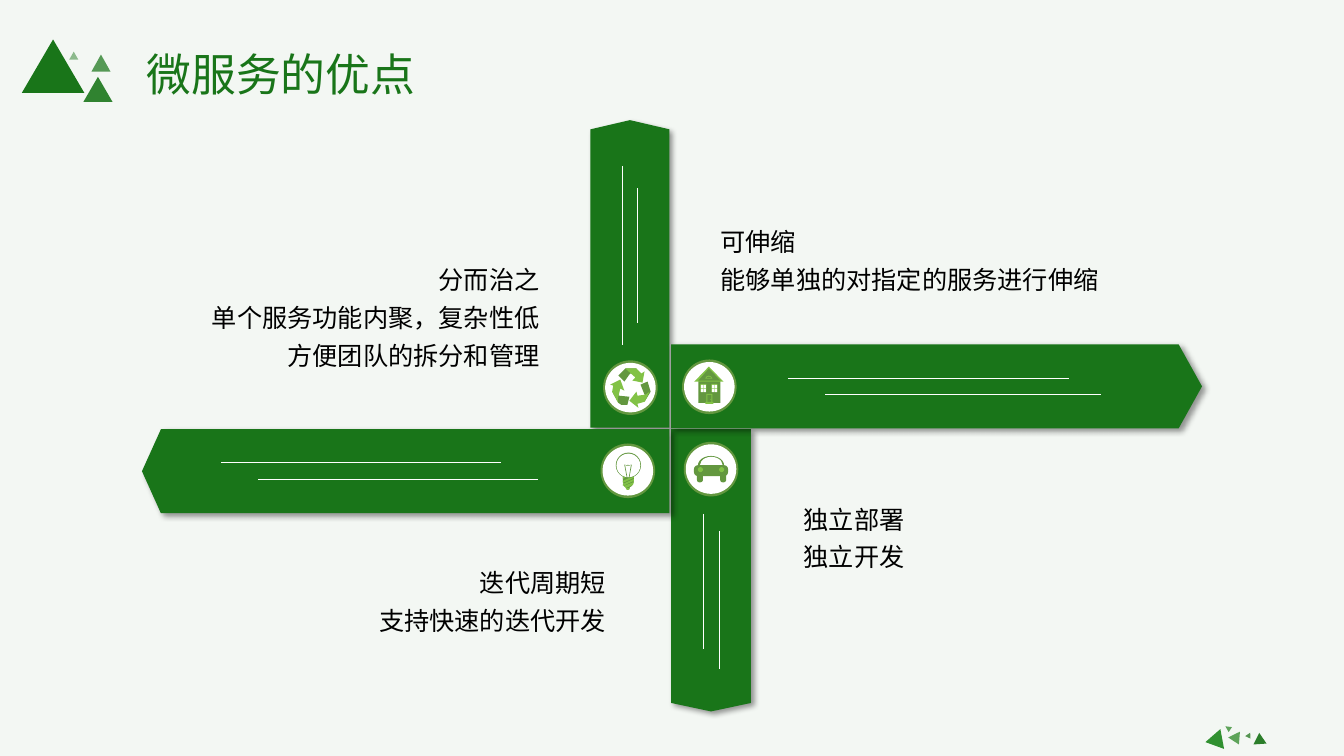
from dataclasses import dataclass
from lxml.etree import SubElement
from pptx import Presentation
from pptx.dml.color import RGBColor
from pptx.enum.shapes import MSO_CONNECTOR as Connector, MSO_SHAPE as Preset
from pptx.enum.text import PP_ALIGN as Align
from pptx.oxml.ns import qn
from pptx.util import Emu, Pt

GRID = 76200
COLUMNS, ROWS = 160, 90
FONT = "Noto Sans CJK SC"
GREEN, LEAF, LIME, WHITE, BLACK = "197519", "63973F", "82C246", "FFFFFF", "000000"
OVAL, RECT, ROUND = Preset.OVAL, Preset.RECTANGLE, Preset.ROUNDED_RECTANGLE


@dataclass
class Box:
    left: float
    top: float
    width: float
    height: float
    columns: float = 1
    rows: float = 1

    def point(self, x, y):
        return (Emu(round(self.left + self.width * x / self.columns)),
                Emu(round(self.top + self.height * y / self.rows)))

    def cell(self, x, y, width, height, columns=1, rows=1):
        left, top = self.point(x, y)
        return Box(left, top, self.width * width / self.columns,
                   self.height * height / self.rows, columns, rows)

    def frame(self):
        return [Emu(round(length)) for length in (self.left, self.top, self.width, self.height)]


def colour(value):
    return RGBColor.from_string(value)


def paint(shape, fill, opacity=100):
    shape.shadow.inherit = False
    shape.fill.solid()
    shape.fill.fore_color.rgb = colour(fill)
    shape.line.fill.background()
    if opacity < 100:
        tint = shape._element.spPr.find(qn("a:solidFill")).find(qn("a:srgbClr"))
        SubElement(tint, qn("a:alpha"), val=str(opacity * 1000))
    return shape


def add_preset(slide, box, preset, fill, opacity=100):
    return paint(slide.shapes.add_shape(preset, *box.frame()), fill, opacity)


def add_outline(slide, box, points, fill):
    first, *others = [box.point(x, y) for x, y in points]
    builder = slide.shapes.build_freeform(*first)
    builder.add_line_segments(others)
    return paint(builder.convert_to_shape(), fill)


def add_shadow(shape):
    effects = shape._element.spPr.find(qn("a:effectLst"))
    shadow = SubElement(effects, qn("a:outerShdw"), blurRad=str(Pt(4)), dist=str(Pt(3)),
                        dir="2700000", algn="tl", rotWithShape="0")
    tint = SubElement(shadow, qn("a:srgbClr"), val=BLACK)
    SubElement(tint, qn("a:alpha"), val="40000")


TURNS = {
    "up": lambda along, across: (across, 1 - along),
    "down": lambda along, across: (across, along),
    "right": lambda along, across: (along, across),
    "left": lambda along, across: (1 - along, across),
}


def draw_arm(slide, box, direction, tip, upper_line, lower_line):
    turn = TURNS[direction]
    corners = [(0, 0), (1 - tip, 0), (1, 0.5), (1 - tip, 1), (0, 1)]
    add_shadow(add_outline(slide, box, [turn(*corner) for corner in corners], GREEN))
    for across, (start, end) in ((0.4, upper_line), (0.6, lower_line)):
        line = slide.shapes.add_connector(
            Connector.STRAIGHT, *box.point(*turn(start, across)), *box.point(*turn(end, across)))
        line.line.color.rgb = colour(WHITE)
        line.line.width = Pt(0.5)
        SubElement(line._element.spPr, qn("a:effectLst"))


def draw_badge(slide, box, parts):
    add_preset(slide, box, OVAL, LEAF)
    add_preset(slide, box.cell(2, 2.5, 50, 49), OVAL, WHITE)
    for preset, fill, geometry in parts:
        if preset is None:
            add_outline(slide, box, geometry, fill)
        else:
            shape = add_preset(slide, box.cell(*geometry), preset, fill)
            if preset == ROUND:
                shape.adjustments[0] = 0.4


def draw_triangles(slide, box, triangles):
    for geometry, rotation, fill, opacity in triangles:
        shape = add_preset(slide, box.cell(*geometry), Preset.ISOSCELES_TRIANGLE, fill, opacity)
        shape.rotation = rotation


def draw_text(slide, box, lines, align, size=18, fill=BLACK, spacing=1.25, wrap=True):
    frame = slide.shapes.add_textbox(*box.frame()).text_frame
    frame.word_wrap = wrap
    for index, line in enumerate(lines):
        paragraph = frame.add_paragraph() if index else frame.paragraphs[0]
        paragraph.alignment = align
        paragraph.line_spacing = spacing
        run = paragraph.add_run()
        run.text = line
        run.font.size = Pt(size)
        run.font.name = FONT
        run.font.color.rgb = colour(fill)
        SubElement(run.font._element, qn("a:ea"), typeface=FONT)


BULB = [
    (OVAL, LIME, (25, 42, 4, 4)),
    (None, LEAF, [(22, 28), (33, 28), (33, 37), (31, 42), (28, 44), (26, 44), (23, 42), (22, 37)]),
    *[(None, LIME, [(22, y + 5), (33, y), (33, y + 2), (22, y + 7)]) for y in (28, 32, 35)],
    (None, LIME, [(23, 42), (33, 38), (32, 41), (25, 44)]),
    (OVAL, LEAF, (15, 9, 25, 25)),
    (OVAL, WHITE, (15.7, 10, 23.6, 23.4)),
    (None, LEAF, [(23.5, 21), (24.2, 21), (26.4, 33), (25.8, 33)]),
    (None, LEAF, [(30.8, 21), (30.1, 21), (28, 33), (28.6, 33)]),
    (None, LEAF, [(24, 21), (25.5, 21.5), (27, 21), (28.5, 21.5), (30, 21), (28.5, 22), (25.5, 22)]),
]
RECYCLE = [
    (None, LEAF, [(22, 8), (15, 15), (21, 21), (26, 14), (33, 8)]),
    (None, LIME, [(41, 11), (39, 22), (29, 20), (32, 17), (22, 8), (33, 8), (38, 13)]),
    (None, LEAF, [(15, 42), (18, 44), (24, 44), (26, 36), (16, 35), (9, 31)]),
    (None, LIME, [(7, 24), (17, 19), (21, 30), (17, 28), (14.5, 38), (15, 42), (9, 31), (10, 25)]),
    (None, LEAF, [(47, 31), (44, 21), (37, 24), (41, 34), (41, 41)]),
    (None, LIME, [(35, 47), (26, 40), (33, 31), (34, 35), (42, 34), (46, 31), (41, 41), (34, 43)]),
]
HOUSE = [
    (RECT, LEAF, (16, 21, 22, 22)),
    *[(RECT, LIME, (x, 24, 6, 8)) for x in (18, 29)],
    *[(RECT, WHITE, (x, y, 2.4, 3.4)) for x in (18.6, 21.3, 29.6, 32.3) for y in (25, 28.8)],
    (RECT, LIME, (24, 34, 6, 8)),
    (RECT, LEAF, (25, 35, 4, 7)),
    (RECT, LIME, (23, 42, 8, 2)),
    (OVAL, LIME, (28, 39, 1, 1)),
    (None, LIME, [(12, 22), (26.5, 7), (41, 22)]),
    (None, LEAF, [(16, 21), (26.5, 9), (38, 21)]),
    (None, LIME, [(23, 19), (24, 17), (26.5, 16), (29, 17), (30, 19)]),
    (None, LEAF, [(24, 18.5), (25, 17.5), (26.5, 17), (28, 17.5), (29, 18.5)]),
]
CAR = [
    (OVAL, LEAF, (14, 14, 26, 19)),
    (OVAL, WHITE, (16, 14.8, 22.5, 17)),
    *[(ROUND, LEAF, (x, 27, 6, 13)) for x in (13, 36)],
    (ROUND, LEAF, (10, 23, 34, 11)),
    *[(OVAL, LIME, (x, 25, 5, 5)) for x in (14, 35)],
]
ARMS = [
    ((70.3, 14.3, 9.4, 36.6), "up", 0.03, (0.27, 0.85), (0.34, 0.78)),
    ((79.9, 51.1, 9.5, 33.6), "down", 0.03, (0.3, 0.78), (0.36, 0.85)),
    ((79.9, 41, 63.2, 10), "right", 0.044, (0.22, 0.75), (0.29, 0.81)),
    ((16.9, 51.1, 62.8, 10), "left", 0.036, (0.32, 0.85), (0.25, 0.78)),
]
BADGES = [((71.5, 52.8), BULB), ((71.8, 42.9), RECYCLE),
          ((81.2, 42.8), HOUSE), ((81.4, 52.6), CAR)]
ADVANTAGES = [
    ((21.6, 30, 43.8, 14.4), Align.RIGHT, ["分而治之", "单个服务功能内聚，复杂性低方便团队的拆分和管理"]),
    ((84.6, 25.5, 50.8, 10.3), Align.LEFT, ["可伸缩", "能够单独的对指定的服务进行伸缩"]),
    ((94.5, 58.5, 43.8, 9.8), Align.LEFT, ["独立部署", "独立开发"]),
    ((29.5, 66.1, 43.8, 9.8), Align.RIGHT, ["迭代周期短", "支持快速的迭代开发"]),
]
HEADER_TRIANGLES = [
    ((0, 0, 62, 53), 0, GREEN, 100), ((61, 37, 29, 25), 0, GREEN, 89),
    ((47, 12, 9, 8), 0, GREEN, 47), ((69, 15, 19, 17), 0, GREEN, 72),
]
FOOTER_TRIANGLES = [
    ((26, 9, 13, 11), 153.9, "5EA45A", 100), ((0, 7, 20, 17), 259.5, "309030", 100),
    ((49, 8, 13, 11), 356.2, "2B7E2A", 100), ((21, 0, 6, 6), 303.5, "5EA45A", 100),
    ((42, 9, 6, 5), 145.8, "559551", 100),
]


def build_advantages_slide(slide, page):
    slide.background.fill.solid()
    slide.background.fill.fore_color.rgb = colour("F3F7F3")
    for geometry, *arm in ARMS:
        draw_arm(slide, page.cell(*geometry), *arm)
    for corner, parts in BADGES:
        draw_badge(slide, page.cell(*corner, 6.5, 6.5, 54, 54), parts)
    for geometry, align, lines in ADVANTAGES:
        draw_text(slide, page.cell(*geometry), lines, align)
    draw_text(slide, page.cell(16.1, 5, 34.7, 7.7), ["微服务的优点"], Align.CENTER,
              size=32, fill=GREEN, spacing=1, wrap=False)
    draw_triangles(slide, page.cell(2.6, 4.7, 10.8, 7.44, 90, 62), HEADER_TRIANGLES)
    draw_triangles(slide, page.cell(143.3, 86.3, 7.44, 2.4, 62, 20), FOOTER_TRIANGLES)


presentation = Presentation()
presentation.slide_width = Emu(COLUMNS * GRID)
presentation.slide_height = Emu(ROWS * GRID)
page = Box(0, 0, presentation.slide_width, presentation.slide_height, COLUMNS, ROWS)
build_advantages_slide(presentation.slides.add_slide(presentation.slide_layouts[6]), page)
presentation.save("out.pptx")
